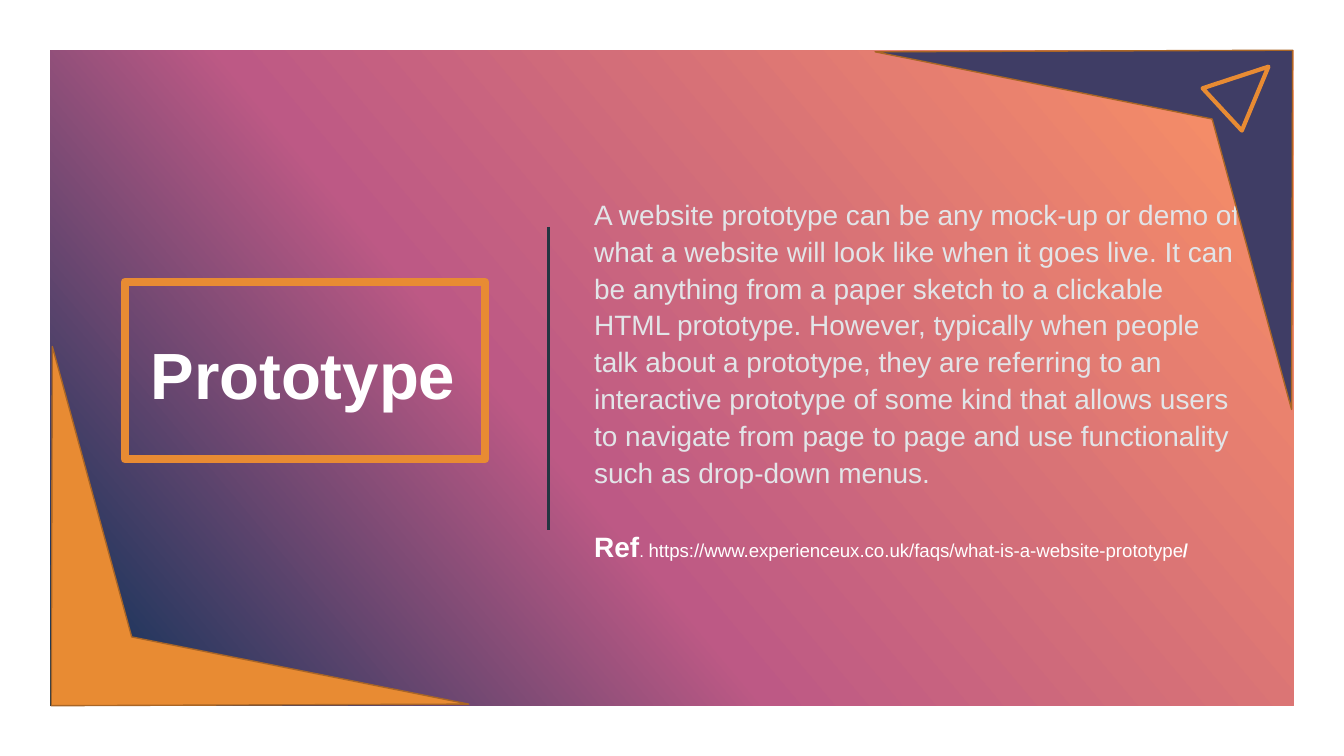
from copy import deepcopy

from pptx import Presentation
from pptx.dml.color import RGBColor
from pptx.enum.shapes import MSO_CONNECTOR, MSO_SHAPE
from pptx.enum.text import MSO_ANCHOR, PP_ALIGN
from pptx.oxml.ns import qn
from pptx.util import Cm, Pt

RECT = MSO_SHAPE.RECTANGLE
TRIANGLE = MSO_SHAPE.FLOWCHART_EXTRACT
STRAIGHT = MSO_CONNECTOR.STRAIGHT
MIDDLE = MSO_ANCHOR.MIDDLE
LEFT, CENTER = PP_ALIGN.LEFT, PP_ALIGN.CENTER

SLIDE_W, SLIDE_H = 25.4, 14.29
FONT = "Arial"
WHITE, ORANGE, BROWN, PURPLE = "FFFFFF", "E88B33", "A96525", "3F3D65"
PALE, DARK = "E2E5E8", "243541"
GRADIENT = [(0, "FC9364"), (0.6, "BD5985"), (1, "023056")]
CORNER = [(0.99, 6.55), (2.49, 12.04), (8.86, 13.31), (0.97, 13.34)]

DEFINITION = (
    "A website prototype can be any mock-up or demo of what a website will look "
    "like when it goes live. It can be anything from a paper sketch to a clickable "
    "HTML prototype. However, typically when people talk about a prototype, they "
    "are referring to an interactive prototype of some kind that allows users to "
    "navigate from page to page and use functionality such as drop-down menus."
)
REF_URL = "https://www.experienceux.co.uk/faqs/what-is-a-website-prototype"


def rgb(color):
    return RGBColor.from_string(color)


def style(sp, fill=None, line=None, width=0.75):
    sp.shadow.inherit = False
    if fill:
        sp.fill.solid()
        sp.fill.fore_color.rgb = rgb(fill)
    else:
        sp.fill.background()
    if line:
        sp.line.color.rgb = rgb(line)
        sp.line.width = Pt(width)
    else:
        sp.line.fill.background()


def add_preset(s, kind, box, fill=None, line=None, width=0.75):
    sp = s.shapes.add_shape(kind, *map(Cm, box))
    style(sp, fill, line, width)
    return sp


def set_gradient(sp, stops, angle):
    sp.fill.gradient()
    sp.fill.gradient_angle = angle
    # A new gradient has two stops; add the missing ones
    first = sp.fill.gradient_stops[0]
    gs_list = sp._element.spPr.find(qn("a:gradFill")).find(qn("a:gsLst"))
    while len(gs_list) < len(stops):
        gs_list.append(deepcopy(gs_list[0]))
    for stop, (position, color) in zip(sp.fill.gradient_stops, stops):
        stop.position = position
        stop.color.rgb = rgb(color)


def add_polygon(s, points, fill):
    (x, y), *rest = [(Cm(x), Cm(y)) for x, y in points]
    builder = s.shapes.build_freeform(x, y)
    builder.add_line_segments(rest, close=True)
    style(builder.convert_to_shape(), fill, BROWN)


def add_line(s, x1, y1, x2, y2, color, width):
    sp = s.shapes.add_connector(STRAIGHT, Cm(x1), Cm(y1), Cm(x2), Cm(y2))
    sp.line.color.rgb = rgb(color)
    sp.line.width = Pt(width)
    sp._element.spPr.append(sp._element.makeelement(qn("a:effectLst"), {}))


def add_text(s, box, paragraphs, align, spacing, left, right, gap=0):
    """Each paragraph is a list of runs: (text, size, color, bold)."""
    tf = s.shapes.add_textbox(*map(Cm, box)).text_frame
    tf.word_wrap = True
    tf.vertical_anchor = MIDDLE
    tf.margin_left, tf.margin_right = Cm(left), Cm(right)
    tf.margin_top = tf.margin_bottom = Cm(0.1)
    for i, runs in enumerate(paragraphs):
        p = tf.add_paragraph() if i else tf.paragraphs[0]
        p.alignment = align
        p.line_spacing = spacing
        if i:
            p.space_before = Pt(gap)
        for text, size, color, bold in runs:
            r = p.add_run()
            r.text = text
            r.font.name = FONT
            r.font.size = Pt(size)
            r.font.bold = bold
            r.font.color.rgb = rgb(color)


def main():
    prs = Presentation()
    prs.slide_width, prs.slide_height = Cm(SLIDE_W), Cm(SLIDE_H)
    s = prs.slides.add_slide(prs.slide_layouts[6])

    # White page with a gradient panel
    add_preset(s, RECT, (0, 0, SLIDE_W, SLIDE_H), WHITE)
    panel = add_preset(s, RECT, (0.95, 0.95, 23.5, 12.38), WHITE)
    set_gradient(panel, GRADIENT, 220)

    # Title, divider and definition
    add_text(s, (1.78, 2.01, 7.9, 10.29), [[("Prototype", 35, WHITE, True)]],
             CENTER, 0.9, 0.18, 0.18)
    add_line(s, 10.36, 4.29, 10.36, 10.01, DARK, 1.5)
    reference = [("Ref", 15, WHITE, True), (". ", 9, WHITE, False),
                 (REF_URL, 10, WHITE, False), ("/", 10, WHITE, True)]
    add_text(s, (11.05, 2.01, 12.45, 10.29),
             [[(DEFINITION, 15, PALE, False)], reference],
             LEFT, 1.1, 0.18, 0, gap=19.8)

    # Frame around the title
    add_preset(s, RECT, (2.36, 5.33, 6.81, 3.35), line=ORANGE, width=4.5)

    # Corner pieces: the second is the first turned about the slide centre
    add_polygon(s, CORNER, ORANGE)
    add_polygon(s, [(SLIDE_W - x, SLIDE_H - y) for x, y in CORNER], PURPLE)

    # Small tilted triangle
    triangle = add_preset(s, TRIANGLE, (22.99, 1.07, 1.09, 1.19),
                          line=ORANGE, width=2.25)
    triangle.rotation = 47.2

    prs.save("out.pptx")


if __name__ == "__main__":
    main()
